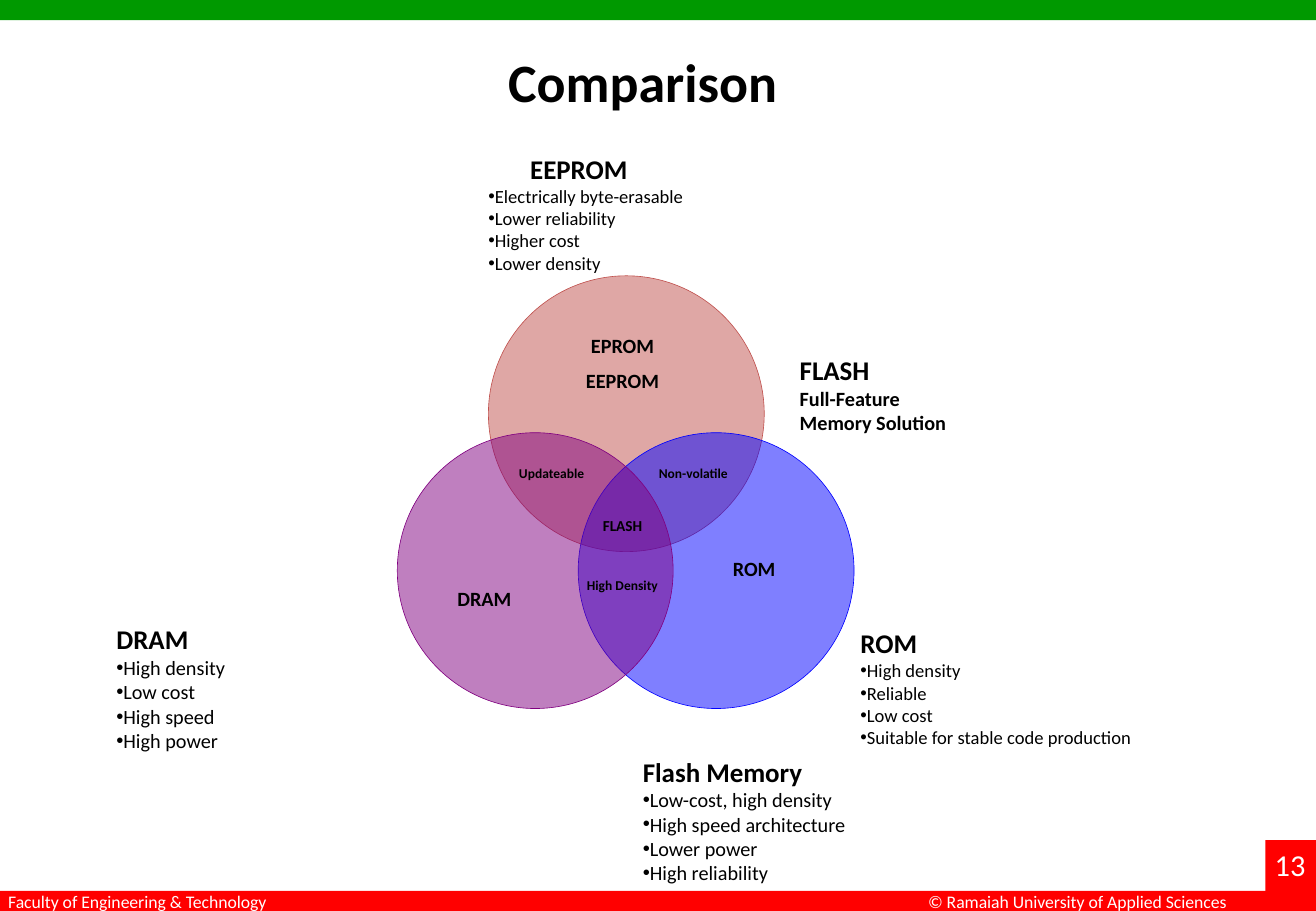
from lxml import etree
from pptx import Presentation
from pptx.dml.color import RGBColor
from pptx.enum.shapes import MSO_SHAPE
from pptx.enum.text import MSO_ANCHOR, MSO_AUTO_SIZE, PP_ALIGN
from pptx.oxml.ns import qn
from pptx.util import Pt

PX = 9525  # EMU per px, 96 px to the inch
BLACK = RGBColor(0x00, 0x00, 0x00)
WHITE = RGBColor(0xFF, 0xFF, 0xFF)
RED = RGBColor(0xFF, 0x00, 0x00)
GREEN = RGBColor(0x00, 0x99, 0x00)
BRICK = RGBColor(0xC0, 0x50, 0x4D)
BLUE = RGBColor(0x00, 0x00, 0xFF)
PURPLE = RGBColor(0x80, 0x00, 0x80)
LEFT, CENTER = PP_ALIGN.LEFT, PP_ALIGN.CENTER

# Content: boxes are (left, top, width, height) in px
SLIDE_SIZE = (1040, 720)
TITLE = ("Comparison", (76, 27, 864, 67))
BARS = [((0, 704, 1040, 16), RED), ((0, 0, 1040, 16), GREEN), ((1000, 664, 40, 56), RED)]
FOOTERS = [
    ("© Ramaiah University of Applied Sciences", (724, 699, 259, 27), 10.5),
    ("Faculty of Engineering & Technology", (-3, 699, 228, 27), 10.5),
    ("13", (998, 664, 48, 38), 18),
]
DIAMETER = 218
CIRCLES = [((386, 218), BRICK), ((457, 342), BLUE), ((314, 342), PURPLE)]
# heading, heading indent, items, item size, box
LISTS = [
    ("EEPROM", 33, ["Electrically byte-erasable", "Lower reliability", "Higher cost",
                    "Lower density"], 11, (386, 141, 218, 55)),
    ("ROM", 0, ["High density", "Reliable", "Low cost",
                "Suitable for stable code production"], 11, (680, 516, 218, 55)),
    ("DRAM", 0, ["High density", "Low cost", "High speed", "High power"],
     12, (92, 516, 218, 55)),
    ("Flash Memory", 0, ["Low-cost, high density", "High speed architecture",
                         "Lower power", "High reliability"], 12, (508, 588, 441, 120)),
]
FLASH_NOTE = ("FLASH", ["Full-Feature", "Memory Solution"], (632, 283, 117, 57))
LABELS = [
    (["DRAM"], 12, LEFT, (352, 459, 88, 29)),
    (["ROM"], 12, CENTER, (552, 435, 88, 29)),
    (["EPROM", "EEPROM"], 12, CENTER, (440, 259, 104, 58)),
    (["Non-volatile"], 8, CENTER, (504, 363, 88, 22)),
    (["FLASH"], 9, CENTER, (448, 403, 88, 24)),
    (["Updateable"], 8, CENTER, (392, 363, 88, 22)),
    (["High Density"], 8, CENTER, (448, 451, 88, 22)),
]


def to_emu(values):
    return [value * PX for value in values]


def set_attributes(target, values):
    for name, value in values.items():
        setattr(target, name, value)


def place(shape, box):
    set_attributes(shape, dict(zip(("left", "top", "width", "height"), to_emu(box))))


def line(text, size, bold=True, color=BLACK, align=LEFT, before=0, indent=0, bullet=False):
    return dict(text=text, size=size, bold=bold, color=color, align=align,
                before=before, indent=indent, bullet=bullet)


def write(shape, lines, wrap=False, anchor=MSO_ANCHOR.TOP, inset=True):
    frame = shape.text_frame
    set_attributes(frame, dict(word_wrap=wrap, vertical_anchor=anchor,
                               auto_size=MSO_AUTO_SIZE.NONE))
    if not inset:
        set_attributes(frame, dict(margin_left=0, margin_top=0, margin_right=0, margin_bottom=0))
    for index, item in enumerate(lines):
        paragraph = frame.add_paragraph() if index else frame.paragraphs[0]
        set_attributes(paragraph, dict(alignment=item["align"], space_after=Pt(0),
                                       space_before=Pt(item["before"])))
        properties = paragraph._p.get_or_add_pPr()
        properties.set("marL", str(item["indent"] * PX))
        properties.set("indent", "0")
        if item["bullet"]:
            etree.SubElement(properties, qn("a:buChar")).set("char", "•")
        else:
            etree.SubElement(properties, qn("a:buNone"))
        run = paragraph.add_run()
        run.text = item["text"]
        set_attributes(run.font, dict(name="Calibri", size=Pt(item["size"]), bold=item["bold"]))
        run.font.color.rgb = item["color"]


def add_filled(slide, kind, box, color):
    shape = slide.shapes.add_shape(kind, *to_emu(box))
    shape.shadow.inherit = False
    shape.fill.solid()
    shape.fill.fore_color.rgb = color
    return shape


def main():
    presentation = Presentation()
    presentation.slide_width, presentation.slide_height = to_emu(SLIDE_SIZE)
    # The layout with a title and four body placeholders
    slide = presentation.slides.add_slide(presentation.slide_layouts[4])
    title, *bodies = slide.placeholders

    # Bars and footer
    for box, color in BARS:
        add_filled(slide, MSO_SHAPE.RECTANGLE, box, color).line.fill.background()
    for text, box, size in FOOTERS:
        write(slide.shapes.add_textbox(*to_emu(box)), [line(text, size, False, WHITE)])

    # Overlapping circles
    for corner, color in CIRCLES:
        circle = add_filled(slide, MSO_SHAPE.OVAL, (*corner, DIAMETER, DIAMETER), color)
        circle.line.color.rgb = color
        circle.line.width = Pt(0.37)
        fill_color = circle._element.spPr.find(qn("a:solidFill"))[0]
        etree.SubElement(fill_color, qn("a:alpha")).set("val", "50000")

    # Feature lists around the circles
    for body, (heading, indent, items, size, box) in zip(bodies, LISTS):
        place(body, box)
        lines = [line(heading, 16, indent=indent)]
        lines += [line(item, size, bold=False, bullet=True) for item in items]
        write(body, lines, anchor=MSO_ANCHOR.MIDDLE, inset=False)

    heading, details, box = FLASH_NOTE
    write(slide.shapes.add_textbox(*to_emu(box)),
          [line(heading, 16)] + [line(detail, 12) for detail in details],
          anchor=MSO_ANCHOR.MIDDLE, inset=False)

    # Labels inside the circles
    for texts, size, align, box in LABELS:
        lines = [line(text, size, align=align, before=size / 2 if index else 0)
                 for index, text in enumerate(texts)]
        write(slide.shapes.add_textbox(*to_emu(box)), lines, wrap=True)

    # Title
    text, box = TITLE
    place(title, box)
    write(title, [line(text, 32, align=CENTER)], wrap=True, anchor=MSO_ANCHOR.BOTTOM)

    presentation.save("out.pptx")


if __name__ == "__main__":
    main()
